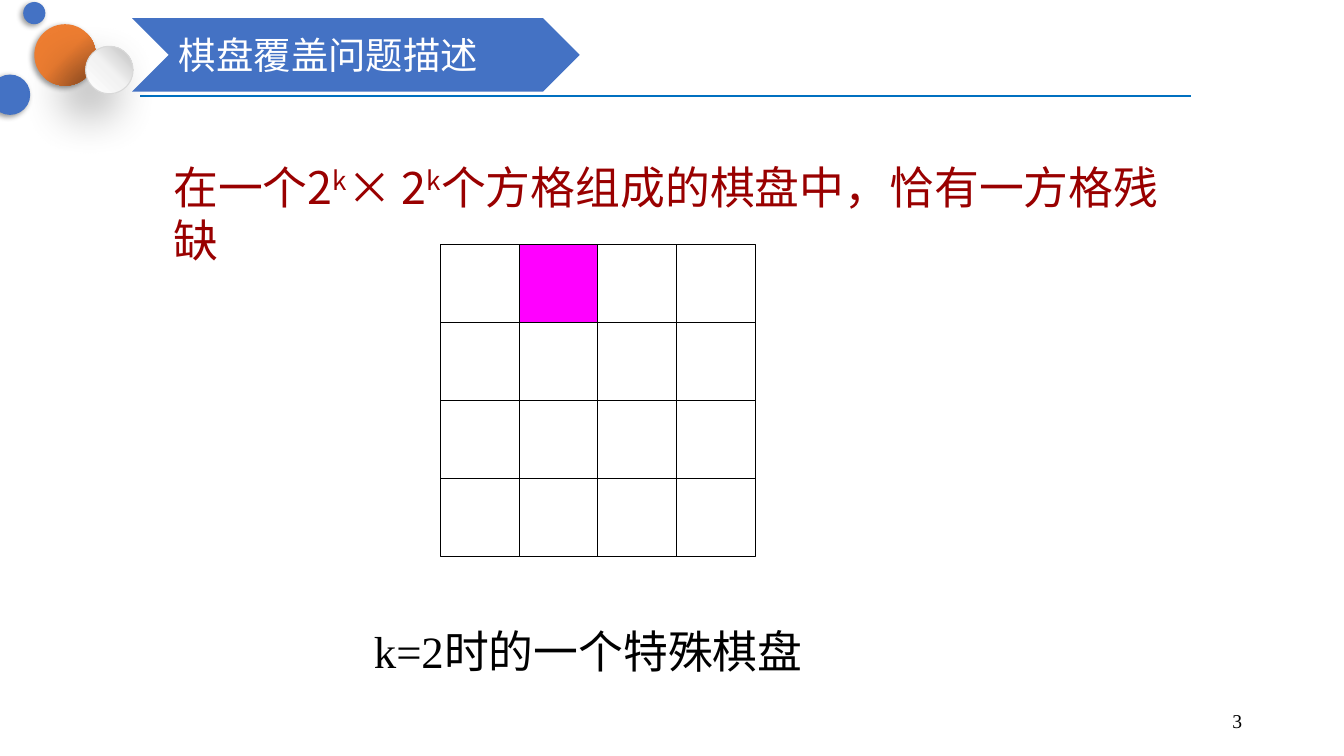
from lxml.etree import SubElement
from pptx import Presentation
from pptx.dml.color import RGBColor
from pptx.enum.shapes import MSO_CONNECTOR, MSO_SHAPE
from pptx.enum.text import MSO_ANCHOR, PP_ALIGN
from pptx.oxml import parse_xml
from pptx.oxml.ns import nsdecls, qn
from pptx.util import Inches, Pt

BLUE = RGBColor(0x44, 0x72, 0xC4)
ORANGE = RGBColor(0xED, 0x7D, 0x31)
BROWN = RGBColor(0xA8, 0x5A, 0x28)
RULE_BLUE = RGBColor(0x00, 0x70, 0xC0)
DARK_RED = RGBColor(0x99, 0x00, 0x00)
MAGENTA = RGBColor(0xFF, 0x00, 0xFF)
WHITE = RGBColor(0xFF, 0xFF, 0xFF)
PALE = RGBColor(0xF2, 0xF2, 0xF2)
SILVER = RGBColor(0xBF, 0xBF, 0xBF)
EDGE = RGBColor(0xD9, 0xD9, 0xD9)
BLACK = RGBColor(0, 0, 0)
HAN, ROMAN = "Noto Sans CJK SC", "Times New Roman"

# Content: each run is (text, font, superscript)
TITLE = [("棋盘覆盖问题描述", HAN, False)]
STATEMENT = [("在一个2", HAN, False), ("k", HAN, True), ("× 2", HAN, False),
             ("k", HAN, True),
             ("个方格组成的棋盘中，恰有一方格残缺", HAN, False)]
CAPTION = [("k=2", ROMAN, False), ("时的一个特殊棋盘", HAN, False)]
PAGE = [("3", ROMAN, False)]

K = 2
MISSING = (0, 1)  # row, column
BOARD = (4.37, 2.43, 3.12, 3.09)

# Balls: left, top, diameter, gradient stops or colour, angle, edge, blur, distance
BALLS = [
    (0.34, 0.24, 0.61, [(0, ORANGE), (50, ORANGE), (100, BROWN)], 45, None, 4, 2),
    (-0.1, 0.74, 0.4, BLUE, 0, None, 4, 2),
    (0.85, 0.46, 0.47, [(0, WHITE), (50, PALE), (100, SILVER)], 315, EDGE, 35, 20),
    (0.23, 0.02, 0.22, BLUE, 0, None, 4, 2),
]

prs = Presentation()
prs.slide_width, prs.slide_height = Inches(13.33), Inches(7.5)
s = prs.slides.add_slide(prs.slide_layouts[6])


def add_shape(kind, box, fill, edge=None):
    sp = s.shapes.add_shape(kind, *map(Inches, box))
    sp.shadow.inherit = False
    if isinstance(fill, RGBColor):
        sp.fill.solid()
        sp.fill.fore_color.rgb = fill
    if edge is None:
        sp.line.fill.background()
    else:
        sp.line.color.rgb = edge
        sp.line.width = Pt(0.75)
    return sp


def set_gradient(sp, stops, angle):
    gs = "".join(f'<a:gs pos="{pos * 1000}"><a:srgbClr val="{color}"/></a:gs>'
                 for pos, color in stops)
    grad = parse_xml(f'<a:gradFill {nsdecls("a")} rotWithShape="1"><a:gsLst>{gs}'
                     f'</a:gsLst><a:lin ang="{angle * 60000}" scaled="0"/></a:gradFill>')
    sp._element.spPr.find(qn("a:prstGeom")).addnext(grad)


def set_shadow(sp, blur, distance):
    effects = sp._element.spPr.find(qn("a:effectLst"))
    effects.append(parse_xml(
        f'<a:outerShdw {nsdecls("a")} blurRad="{Pt(blur)}" dist="{Pt(distance)}" '
        'dir="8100000" algn="tr" rotWithShape="0"><a:srgbClr val="000000">'
        '<a:alpha val="40000"/></a:srgbClr></a:outerShdw>'))


def write(sp, runs, size, color, align=PP_ALIGN.LEFT, anchor=MSO_ANCHOR.TOP, spacing=None):
    tf = sp.text_frame
    tf.word_wrap = True
    tf.vertical_anchor = anchor
    p = tf.paragraphs[0]
    p.alignment = align
    if spacing:
        p.line_spacing = Pt(spacing)
    for text, font, raised in runs:
        r = p.add_run()
        r.text = text
        r.font.size, r.font.name = Pt(size), font
        r.font.color.rgb = color
        SubElement(r.font._element, qn("a:ea")).set("typeface", font)
        if raised:
            r.font._element.set("baseline", "30000")


def add_text(box, *args, **kwargs):
    write(s.shapes.add_textbox(*map(Inches, box)), *args, **kwargs)


# Header rule and balls
rule = s.shapes.add_connector(MSO_CONNECTOR.STRAIGHT,
                              *map(Inches, (1.39, 0.95, 11.81, 0.95)))
rule.line.color.rgb = RULE_BLUE
rule.line.width = Pt(1.25)
SubElement(rule._element.spPr, qn("a:effectLst"))

for left, top, size, fill, angle, edge, blur, distance in BALLS:
    ball = add_shape(MSO_SHAPE.OVAL, (left, top, size, size), fill, edge)
    if isinstance(fill, list):
        set_gradient(ball, fill, angle)
    set_shadow(ball, blur, distance)

# Page number and title
add_text((9.42, 6.95, 3, 0.4), PAGE, 14, BLACK, PP_ALIGN.RIGHT, MSO_ANCHOR.MIDDLE)
banner = add_shape(MSO_SHAPE.CHEVRON, (1.31, 0.18, 4.44, 0.73), BLUE)
write(banner, TITLE, 26.7, WHITE, anchor=MSO_ANCHOR.MIDDLE)

# Chessboard of 2^k by 2^k squares
n = 2 ** K
left, top, width, height = BOARD
cell_w, cell_h = width / n, height / n
for row in range(n):
    for col in range(n):
        add_shape(MSO_SHAPE.RECTANGLE,
                  (left + col * cell_w, top + row * cell_h, cell_w, cell_h),
                  MAGENTA if (row, col) == MISSING else WHITE, BLACK)

# Caption and problem statement
add_text((3.61, 5.92, 8.36, 0.72), CAPTION, 32, BLACK, spacing=54)
add_text((1.62, 1.53, 10.36, 0.64), STATEMENT, 32, DARK_RED, spacing=38.5)

prs.save("out.pptx")
